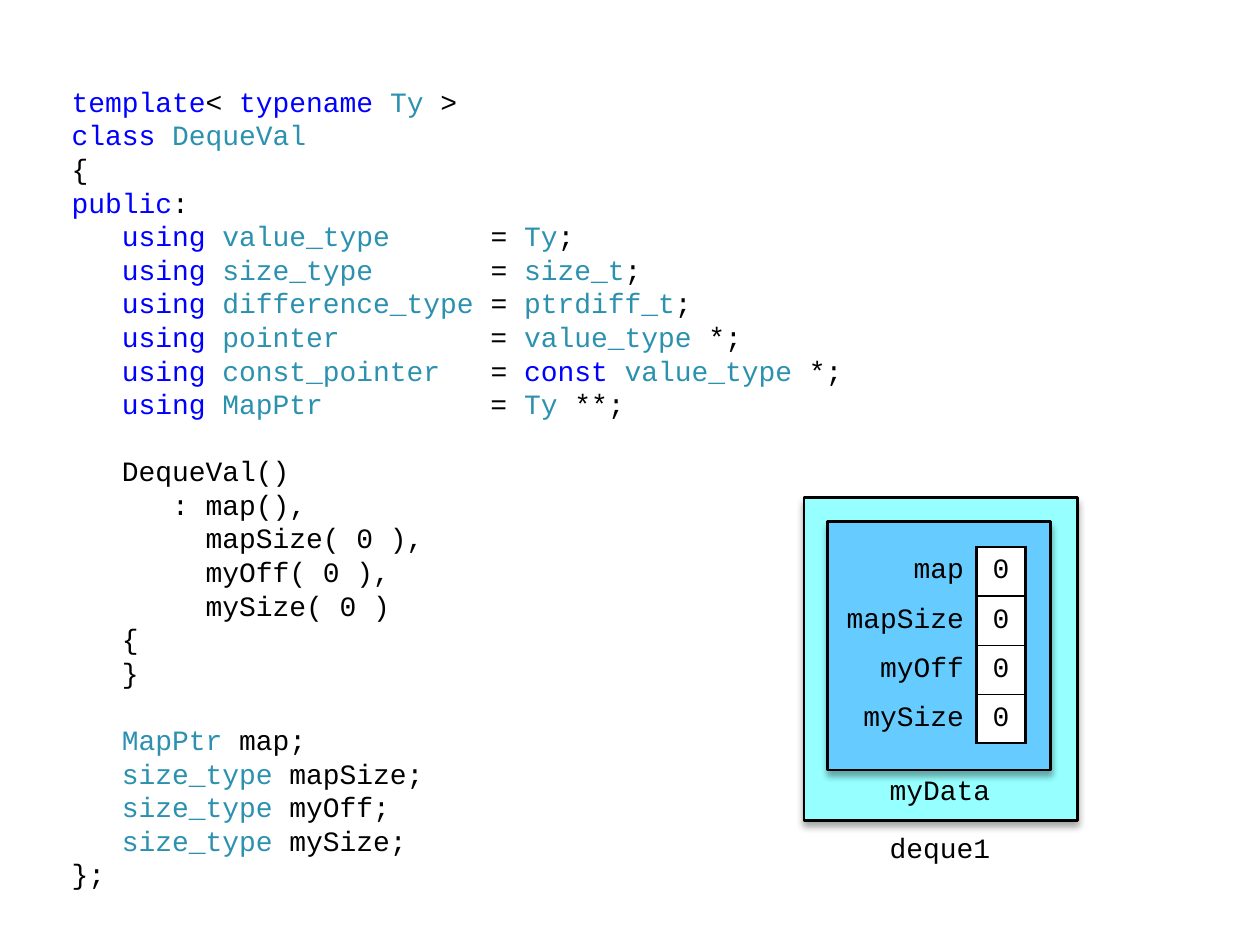
from itertools import groupby

from lxml import etree
from pptx import Presentation, util as u
from pptx.dml.color import RGBColor
from pptx.enum import shapes, text
from pptx.oxml import parse_xml
from pptx.oxml.ns import nsdecls, qn

COLORS = {"text": "000000", "keyword": "0000FF", "type": "2B91AF",
          "deque": "96FFFF", "data": "66CCFF", "value": "FFFFFF"}
KEYWORDS = {"template", "typename", "class", "public", "using", "const"}
TYPES = {"Ty", "DequeVal", "value_type", "size_type", "difference_type",
         "pointer", "const_pointer", "MapPtr", "size_t", "ptrdiff_t"}
LINE_PITCH = 19.2
CELL = 0.39

CODE = """\
template< typename Ty >
class DequeVal
{
public:
   using value_type      = Ty;
   using size_type       = size_t;
   using difference_type = ptrdiff_t;
   using pointer         = value_type *;
   using const_pointer   = const value_type *;
   using MapPtr          = Ty **;

   DequeVal()
      : map(),
        mapSize( 0 ),
        myOff( 0 ),
        mySize( 0 )
   {
   }

   MapPtr map;
   size_type mapSize;
   size_type myOff;
   size_type mySize;
};"""


def color(name):
    return RGBColor.from_string(COLORS[name])


def highlight(line):
    """Return (text, color name) runs; a name called with () stays plain."""
    tokens = ["".join(group) for _, group in
              groupby(line, lambda c: c.isalnum() or c == "_")]

    def kind(pair):
        token, following = pair
        if token in KEYWORDS:
            return "keyword"
        if token in TYPES and not following.startswith("("):
            return "type"
        return "text"

    pairs = zip(tokens, tokens[1:] + [""])
    return [("".join(token for token, _ in group), name)
            for name, group in groupby(pairs, kind)]


def set_borders(cell, **widths):
    """Draw the sides given in points (L, R, T, B) and clear the others."""
    properties = cell._tc.get_or_add_tcPr()
    for index, side in enumerate("LRTB"):
        line = etree.Element(qn(f"a:ln{side}"))
        if side in widths:
            line.set("w", str(u.Pt(widths[side])))
            fill = etree.SubElement(line, qn("a:solidFill"))
            etree.SubElement(fill, qn("a:srgbClr"), val=COLORS["text"])
        else:
            etree.SubElement(line, qn("a:noFill"))
        properties.insert(index, line)


class SlideBuilder:
    """Holds the text style and the current slide."""

    font_name = "Courier New"
    font_size = u.Pt(16)

    def __init__(self, slide):
        self.slide = slide

    def style(self, paragraph, align=text.PP_ALIGN.LEFT):
        paragraph.alignment = align
        paragraph.font.name = self.font_name
        paragraph.font.size = self.font_size
        paragraph.font.color.rgb = color("text")

    def text_frame(self, left, top, width, height, inset_top):
        box = self.slide.shapes.add_textbox(
            *map(u.Inches, (left, top, width, height)))
        frame = box.text_frame
        frame.word_wrap = True
        frame.margin_top = u.Inches(inset_top)
        return frame

    def code(self, source, left, top, width, height):
        frame = self.text_frame(left, top, width, height, 0.07)
        paragraph = frame.paragraphs[0]
        gap = 0
        for index, line in enumerate(source.splitlines()):
            if not line:
                gap = LINE_PITCH
                continue
            if index:
                paragraph = frame.add_paragraph()
            self.style(paragraph)
            paragraph.line_spacing = u.Pt(LINE_PITCH)
            paragraph.space_before = u.Pt(gap)
            gap = 0
            for content, name in highlight(line):
                run = paragraph.add_run()
                run.text = content
                if name != "text":
                    run.font.color.rgb = color(name)

    def label(self, content, left, top, width, inset_top, anchor):
        frame = self.text_frame(left, top, width, CELL, inset_top)
        frame.margin_left = frame.margin_right = u.Inches(0.08)
        frame.margin_bottom = 0
        frame.vertical_anchor = anchor
        frame.text = content
        self.style(frame.paragraphs[0], text.PP_ALIGN.CENTER)

    def panel(self, fill, left, top, width, height):
        shape = self.slide.shapes.add_shape(
            shapes.MSO_SHAPE.FLOWCHART_PROCESS,
            *map(u.Inches, (left, top, width, height)))
        shape.fill.solid()
        shape.fill.fore_color.rgb = color(fill)
        shape.line.color.rgb = color("text")
        shape.line.width = u.Pt(1.5)
        shape.shadow.inherit = False
        shape._element.spPr.find(qn("a:effectLst")).append(parse_xml(
            f'<a:outerShdw {nsdecls("a")} blurRad="{u.Pt(4)}" '
            f'dist="{u.Pt(3)}" dir="5400000" rotWithShape="0">'
            f'<a:srgbClr val="{COLORS["text"]}"><a:alpha val="35000"/>'
            '</a:srgbClr></a:outerShdw>'))

    def cell(self, cell, content, align, inset):
        cell.text = content
        cell.vertical_anchor = text.MSO_ANCHOR.MIDDLE
        cell.margin_left = cell.margin_right = u.Inches(inset)
        cell.margin_top = cell.margin_bottom = u.Inches(0.04)
        self.style(cell.text_frame.paragraphs[0], align)

    def members(self, values, left, top, widths):
        count = len(values)
        table = self.slide.shapes.add_table(
            count, 2, u.Inches(left), u.Inches(top),
            u.Inches(sum(widths)), u.Inches(CELL * count)).table
        table.first_row = table.horz_banding = False
        for column, width in zip(table.columns, widths):
            column.width = u.Inches(width)
        for index, (name, value) in enumerate(values.items()):
            table.rows[index].height = u.Inches(CELL)
            name_cell, value_cell = table.rows[index].cells
            self.cell(name_cell, name, text.PP_ALIGN.RIGHT, 0.1)
            name_cell.fill.background()
            set_borders(name_cell, R=1.5)
            self.cell(value_cell, value, text.PP_ALIGN.CENTER, 0)
            value_cell.fill.solid()
            value_cell.fill.fore_color.rgb = color("value")
            set_borders(value_cell, L=1.5, R=1.5,
                        T=0.75 if index else 1.5,
                        B=0.75 if index < count - 1 else 1.5)


def main():
    presentation = Presentation()
    presentation.slide_width = u.Inches(10)
    presentation.slide_height = u.Inches(7.5)
    slide = presentation.slides.add_slide(presentation.slide_layouts[6])
    builder = SlideBuilder(slide)

    builder.code(CODE, 0.47, 0.6, 6.5, 6.5)
    builder.panel("deque", 6.38, 3.95, 2.17, 2.56)
    builder.panel("data", 6.57, 4.14, 1.77, 1.97)
    builder.label("deque1", 6.77, 6.51, 1.38, 0.04, text.MSO_ANCHOR.MIDDLE)
    builder.label("myData", 6.97, 6.11, 0.98, 0.02, text.MSO_ANCHOR.TOP)
    members = dict.fromkeys(("map", "mapSize", "myOff", "mySize"), "0")
    builder.members(members, 6.57, 4.34, (1.18, CELL))

    presentation.save("out.pptx")


if __name__ == "__main__":
    main()
